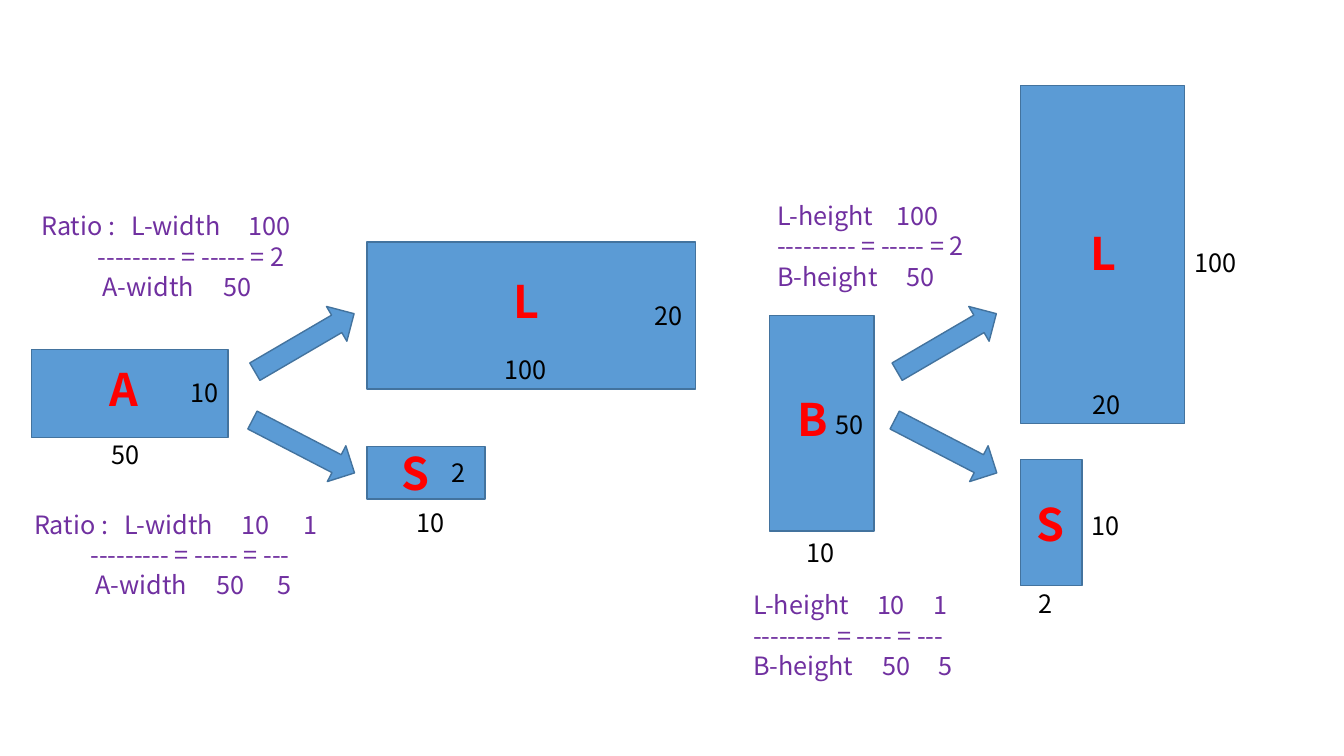
from dataclasses import dataclass

import pptx
import pptx.dml.color
import pptx.enum.shapes
import pptx.enum.text
import pptx.oxml.ns
import pptx.util
from pptx.util import Inches
from lxml import etree


@dataclass(frozen=True)
class Theme:
    font: str = "Noto Sans CJK KR"
    fill: str = "5B9BD5"
    outline: str = "43739E"
    number: str = "000000"
    name: str = "FF0000"
    ratio: str = "7030A0"
    body_size: int = 18
    name_size: int = 32
    line_height: float = 1.2


THEME = Theme()
SHAPES = pptx.enum.shapes.MSO_SHAPE

# Rectangles: left, top, width, height
RECTANGLES = [
    (0.31, 3.47, 1.95, 0.87),
    (3.64, 4.43, 1.17, 0.52),
    (3.64, 2.4, 3.26, 1.46),
    (7.63, 3.13, 1.04, 2.14),
    (10.12, 0.85, 1.63, 3.35),
    (10.12, 4.56, 0.61, 1.25),
]

# Names and side lengths: text, left, top
NAMES = [
    ("A", 0.99, 3.54), ("L", 4.99, 2.67), ("S", 3.88, 4.37),
    ("B", 7.81, 3.84), ("L", 10.72, 2.19), ("S", 10.18, 4.88),
]
SIDE_LENGTHS = [
    ("50", 1.01, 4.31), ("10", 1.79, 3.69),
    ("10", 4.03, 4.98), ("2", 4.38, 4.49),
    ("100", 4.91, 3.47), ("20", 6.39, 2.93),
    ("10", 7.9, 5.28), ("50", 8.19, 4.01),
    ("2", 10.2, 5.79), ("10", 10.73, 5.01),
    ("20", 10.74, 3.81), ("100", 11.75, 2.4),
]

# Ratios: left, top, width, then lines of text with their tab stops
RATIOS = [
    (0.31, 2.04, 3.46, [
        ("Ratio :\tL-width\t100", (0.9, 2.06)),
        ("\t--------- = ----- = 2", (0.56,)),
        ("\tA-width\t50", (0.61, 1.81)),
    ]),
    (0.24, 5, 4.04, [
        ("Ratio :\tL-width\t10\t1", (0.9, 2.06, 2.67)),
        ("\t--------- = ----- = ---", (0.56,)),
        ("\tA-width\t50\t5", (0.61, 1.81, 2.41)),
    ]),
    (7.61, 1.94, 2.68, [
        ("L-height\t100", (1.18,)),
        ("--------- = ----- = 2", ()),
        ("B-height\t50", (1.28,)),
    ]),
    (7.37, 5.8, 2.68, [
        ("L-height\t10\t1", (1.23, 1.79)),
        ("--------- = ---- = ---", ()),
        ("B-height\t50\t5", (1.28, 1.84)),
    ]),
]


def rgb(value):
    return pptx.dml.color.RGBColor.from_string(value)


def add_block(page, kind, left, top, width, height, rotation=0):
    block = page.shapes.add_shape(
        kind, Inches(left), Inches(top), Inches(width), Inches(height))
    block.rotation = rotation
    block.shadow.inherit = False
    block.fill.solid()
    block.fill.fore_color.rgb = rgb(THEME.fill)
    block.line.color.rgb = rgb(THEME.outline)
    block.line.width = pptx.util.Pt(1)


def set_tab_stops(para, stops):
    properties = para._p.get_or_add_pPr()
    tab_list = etree.SubElement(properties, pptx.oxml.ns.qn("a:tabLst"))
    for stop in stops:
        etree.SubElement(tab_list, pptx.oxml.ns.qn("a:tab"),
                         pos=str(Inches(stop)), algn="l")


def write(para, text, *, size, color, bold=False, stops=()):
    para.line_spacing = pptx.util.Pt(size * THEME.line_height)
    if stops:
        set_tab_stops(para, stops)
    span = para.add_run()
    span.text = text
    span.font.name = THEME.font
    span.font.size = pptx.util.Pt(size)
    span.font.bold = bold
    span.font.color.rgb = rgb(color)


def add_text(page, lines, left, top, width, height, **text_format):
    box = page.shapes.add_textbox(
        Inches(left), Inches(top), Inches(width), Inches(height))
    frame = box.text_frame
    frame.word_wrap = True
    frame.auto_size = pptx.enum.text.MSO_AUTO_SIZE.SHAPE_TO_FIT_TEXT
    for index, (text, stops) in enumerate(lines):
        para = frame.add_paragraph() if index else frame.paragraphs[0]
        write(para, text, stops=stops, **text_format)


def main():
    deck = pptx.Presentation()
    deck.slide_width, deck.slide_height = Inches(13.33), Inches(7.5)
    page = deck.slides.add_slide(deck.slide_layouts[6])

    # Rectangles being compared
    for place in RECTANGLES:
        add_block(page, SHAPES.RECTANGLE, *place)

    # One rising and one falling arrow for each half
    for left in (2.45, 8.82):
        add_block(page, SHAPES.RIGHT_ARROW, left, 3.2, 1.14, 0.4, 329.7)
        add_block(page, SHAPES.RIGHT_ARROW, left - 0.01, 4.23, 1.14, 0.4, 27.4)

    # Side lengths, names and ratios
    for text, left, top in SIDE_LENGTHS:
        add_text(page, [(text, ())], left, top, 0.87, 0.4,
                 size=THEME.body_size, color=THEME.number)
    for text, left, top in NAMES:
        add_text(page, [(text, ())], left, top, 0.79, 0.64,
                 size=THEME.name_size, color=THEME.name, bold=True)
    for left, top, width, lines in RATIOS:
        add_text(page, lines, left, top, width, 1,
                 size=THEME.body_size, color=THEME.ratio)

    deck.save("out.pptx")


main()
